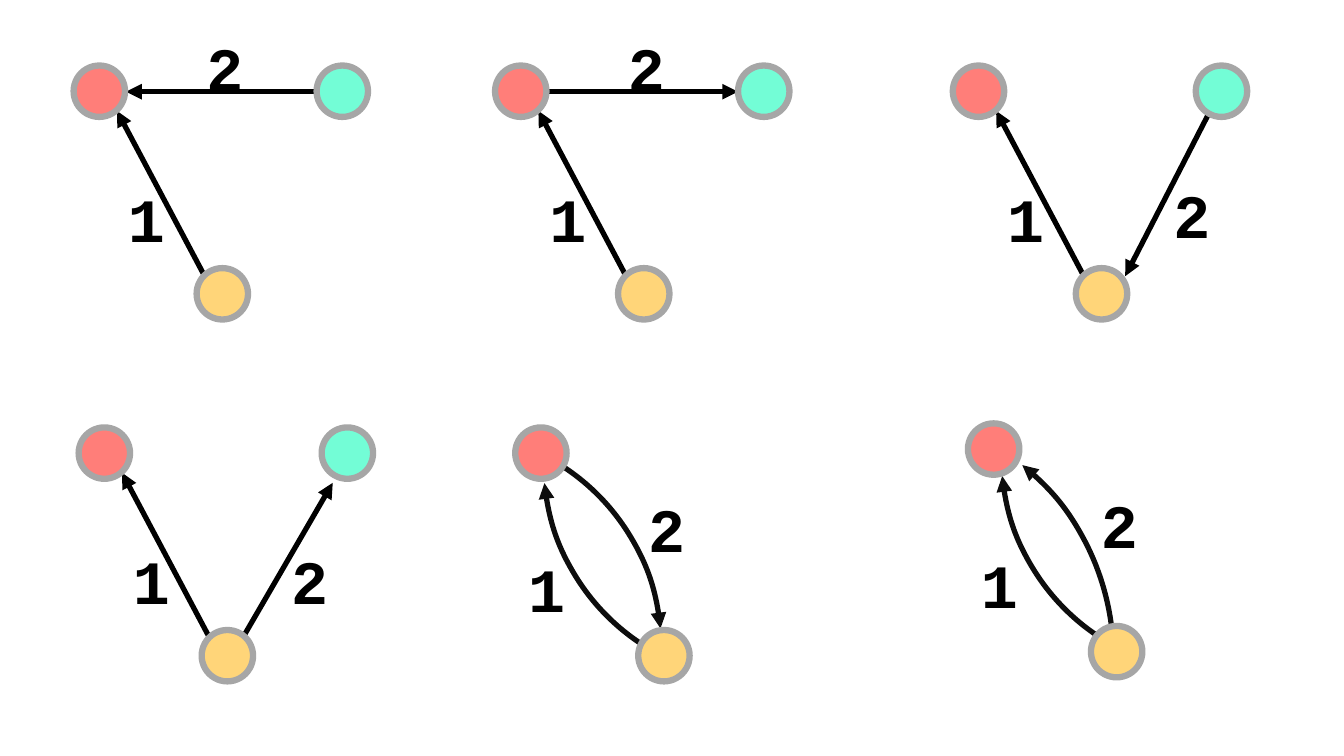
from dataclasses import dataclass

from pptx import Presentation
from pptx.dml.color import RGBColor as Rgb
from pptx.enum.shapes import MSO_CONNECTOR as Connector, MSO_SHAPE as Shape
from pptx.enum.text import MSO_AUTO_SIZE as AutoSize, PP_ALIGN as Align
from pptx.oxml.ns import qn
from pptx.util import Inches, Pt
from lxml.etree import SubElement


@dataclass(frozen=True)
class Theme:
    red: Rgb = Rgb(0xFF, 0x7E, 0x79)
    green: Rgb = Rgb(0x73, 0xFD, 0xD6)
    yellow: Rgb = Rgb(0xFF, 0xD5, 0x79)
    ring: Rgb = Rgb(0xA6, 0xA6, 0xA6)
    ink: Rgb = Rgb(0, 0, 0)
    ring_width: int = Pt(4.5)
    edge_width: int = Pt(3.75)
    font: str = "Courier New"
    size: int = Pt(44)


THEME = Theme()
CELL = Inches(0.1)
NODE = 5.1
LABEL = (8.6, 8.4)
RED, GREEN, YELLOW = (0, 0), (24.1, 0), (12.2, 20.1)
FIRST_EDGE = ((13, 20.9), (4.3, 4.5))
ARC_SPAN = (162, 195.53)


def apply(target, values):
    for name, value in values.items():
        setattr(target, name, value)


def cells(*lengths):
    return [round(length * CELL) for length in lengths]


def placed(box, point):
    return box[0] + point[0], box[1] + point[1]


def stroke(line, color, width):
    line.fill.solid()
    apply(line.fill.fore_color, {"rgb": color})
    line.width = width


def add_arrowhead(edge):
    stroke(edge.line, THEME.ink, THEME.edge_width)
    SubElement(edge.line._get_or_add_ln(), qn("a:tailEnd"), type="triangle")


def add_straight(slide, box, start, end):
    edge = slide.shapes.add_connector(
        Connector.STRAIGHT, *cells(*placed(box, start), *placed(box, end)))
    add_arrowhead(edge)
    SubElement(edge._element.spPr, qn("a:effectLst"))


def add_arc(slide, box, corner, size, rotation, flipped=False):
    arc = slide.shapes.add_shape(Shape.ARC, *cells(*placed(box, corner), *size))
    arc.shadow.inherit = False
    arc.fill.background()
    arc.rotation = rotation
    for index, angle in enumerate(ARC_SPAN):
        arc.adjustments[index] = angle
    if flipped:
        arc._element.spPr.find(qn("a:xfrm")).set("flipV", "1")
    add_arrowhead(arc)
    ink = arc.line._get_or_add_ln().find(qn("a:solidFill"))[0]
    SubElement(ink, qn("a:alpha"), val="95000")


def add_nodes(slide, box, nodes):
    group = slide.shapes.add_group_shape()
    for corner, color in nodes:
        node = group.shapes.add_shape(
            Shape.OVAL, *cells(*placed(box, corner), NODE, NODE))
        node.shadow.inherit = False
        node.fill.solid()
        node.fill.fore_color.rgb = color
        stroke(node.line, THEME.ring, THEME.ring_width)


def add_label(slide, box, number, corner):
    label = slide.shapes.add_textbox(*cells(*placed(box, corner), *LABEL))
    apply(label.text_frame, {"word_wrap": True,
                             "auto_size": AutoSize.SHAPE_TO_FIT_TEXT})
    step = label.text_frame.paragraphs[0]
    step.alignment = Align.LEFT
    run = step.add_run()
    run.text = str(number)
    apply(run.font, {"name": THEME.font, "size": THEME.size, "bold": True})
    run.font.color.rgb = THEME.ink


def add_labels(slide, box, corners):
    for number, corner in enumerate(corners, 1):
        add_label(slide, box, number, corner)


def three_node_panel(slide, box, second_edge, second_label):
    for start, end in (FIRST_EDGE, second_edge):
        add_straight(slide, box, start, end)
    add_nodes(slide, box, [(RED, THEME.red), (GREEN, THEME.green),
                           (YELLOW, THEME.yellow)])
    add_labels(slide, box, [(4.4, 11), second_label])


def two_node_panel(slide, box, arcs):
    for arc in arcs:
        add_arc(slide, box, *arc)
    add_nodes(slide, box, [(RED, THEME.red), (YELLOW, THEME.yellow)])
    add_labels(slide, box, [(0.3, 11.8), (12.2, 5.8)])


THREE_NODE_PANELS = [
    ((7.3, 6.5), ((24.1, 2.6), (5.2, 2.6)), (12.2, -4)),
    ((49.1, 6.5), ((5.2, 2.6), (24.1, 2.6)), (12.2, -4)),
    ((94.5, 6.5), ((26.5, 2.6), (17.1, 20.9)), (20.9, 10.6)),
    ((7.8, 42.4), ((15.1, 22.9), (25.2, 5.5)), (20.1, 11)),
]
TWO_NODE_PANELS = [
    ((51.1, 42.4), [((2.8, -18), (43, 43), 208.7),
                    ((-28.5, 0.4), (43, 43), 28.9)]),
    ((96, 42), [((3.3, -18.3), (43, 43), 208.7),
                ((-31.5, 1.3), (47.7, 44.2), 270, True)]),
]

deck = Presentation()
apply(deck, {"slide_width": Inches(13.33), "slide_height": Inches(7.5)})
motifs = deck.slides.add_slide(deck.slide_layouts[6])
for panel in THREE_NODE_PANELS:
    three_node_panel(motifs, *panel)
for panel in TWO_NODE_PANELS:
    two_node_panel(motifs, *panel)
deck.save("out.pptx")
